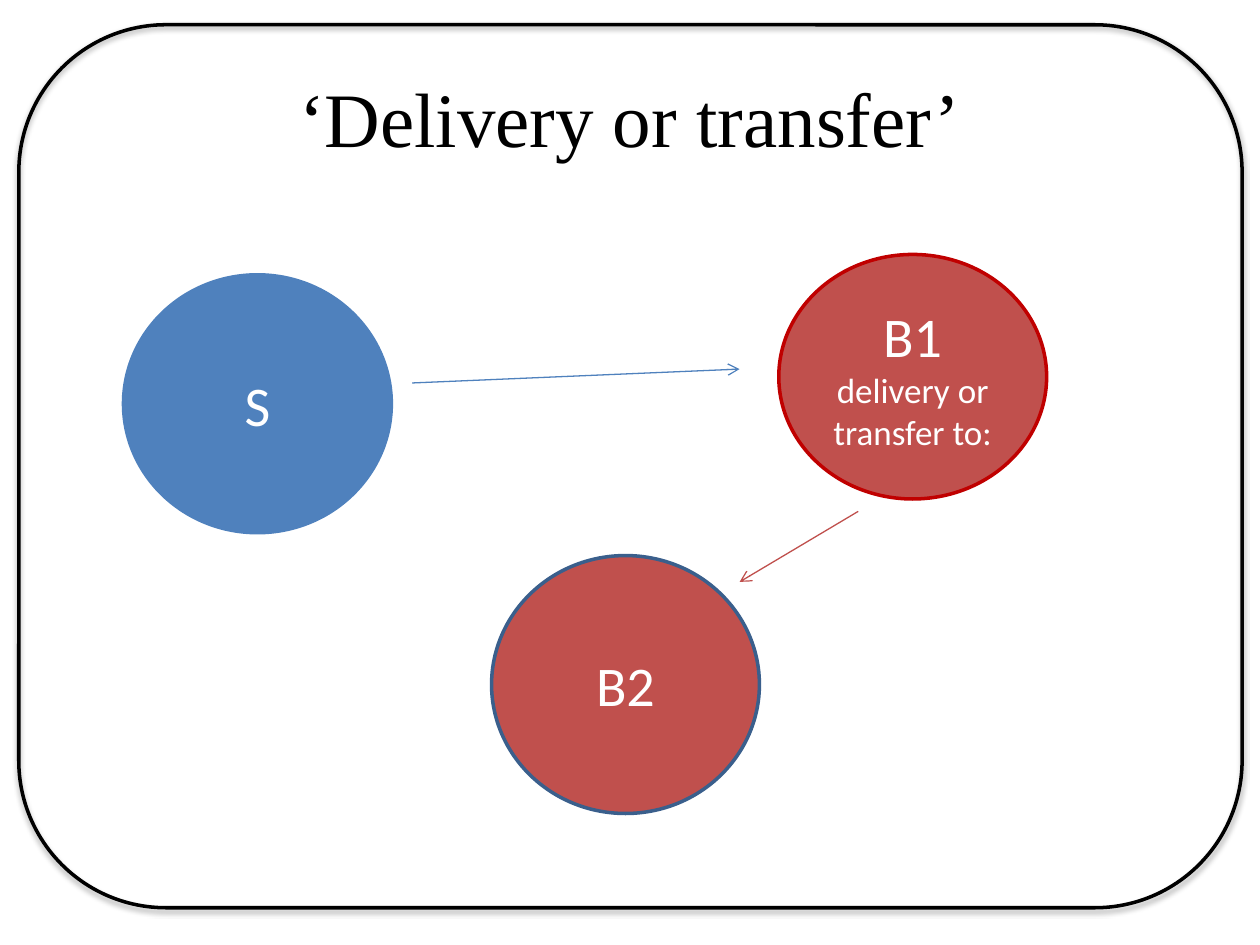
from lxml import etree
from pptx import Presentation
from pptx.dml.color import RGBColor
from pptx.enum.shapes import MSO_CONNECTOR as Connector, MSO_SHAPE as Shape
from pptx.enum.text import MSO_ANCHOR as Anchor, PP_ALIGN as Align
from pptx.oxml.ns import qn
from pptx.util import Cm, Pt

BLUE, RED, WHITE, BLACK = "4F81BD", "C0504D", "FFFFFF", "000000"


def color(hex_string):
    return RGBColor.from_string(hex_string)


def set_line(line, hex_string, width):
    line.color.rgb = color(hex_string)
    line.width = Pt(width)


def write_text(shape, runs, font_name, text_color):
    """Fill the shape with one centred paragraph of (text, size) runs."""
    frame = shape.text_frame
    frame.word_wrap = True
    frame.vertical_anchor = Anchor.MIDDLE
    paragraph = frame.paragraphs[0]
    paragraph.alignment = Align.CENTER
    for text, size in runs:
        run = paragraph.add_run()
        run.text = text
        run.font.name = font_name
        run.font.size = Pt(size)
        run.font.color.rgb = color(text_color)


def add_frame(slide, left, top, width, height):
    """Rounded border with a soft shadow below its line."""
    frame = slide.shapes.add_shape(
        Shape.ROUNDED_RECTANGLE, Cm(left), Cm(top), Cm(width), Cm(height))
    frame.fill.background()
    set_line(frame.line, BLACK, 2)
    frame.shadow.inherit = False
    effects = frame._element.spPr.find(qn("a:effectLst"))
    shadow = etree.SubElement(
        effects, qn("a:outerShdw"), blurRad=str(Pt(3.1)), dist=str(Pt(1.8)),
        dir="5400000", rotWithShape="0")
    tint = etree.SubElement(shadow, qn("a:srgbClr"), val=BLACK)
    etree.SubElement(tint, qn("a:alpha"), val="35000")


def add_title(slide, left, top, width, height):
    title = slide.shapes.add_textbox(Cm(left), Cm(top), Cm(width), Cm(height))
    write_text(title, [("‘Delivery or transfer’", 44)], "Times New Roman", BLACK)


def add_party(slide, left, top, width, height, fill, outline, runs):
    party = slide.shapes.add_shape(
        Shape.OVAL, Cm(left), Cm(top), Cm(width), Cm(height))
    party.shadow.inherit = False
    party.fill.solid()
    party.fill.fore_color.rgb = color(fill)
    set_line(party.line, outline, 2)
    write_text(party, runs, "Calibri", WHITE)


def add_arrow(slide, start, end, hex_string):
    arrow = slide.shapes.add_connector(
        Connector.STRAIGHT, *(Cm(value) for value in start + end))
    set_line(arrow.line, hex_string, 0.75)
    etree.SubElement(arrow.line._get_or_add_ln(), qn("a:tailEnd"), type="arrow")
    etree.SubElement(arrow._element.spPr, qn("a:effectLst"))


def add_diagram(slide, left, top):
    """Seller, first buyer and second buyer, joined by arrows."""
    # Parties: x, y, height, fill, outline, text runs
    parties = [
        (0, 0.41, 5.2, BLUE, BLUE, [("S", 32)]),
        (13.21, 0, 4.93, RED, "C00000",
         [("B1 ", 32), ("delivery or transfer to:", 20)]),
        (7.42, 6.07, 5.2, RED, "3A5F8C", [("B2", 32)]),
    ]
    for x, y, height, fill, outline, runs in parties:
        add_party(slide, left + x, top + y, 5.4, height, fill, outline, runs)

    # Arrows: start, end, colour
    arrows = [
        ((5.82, 2.59), (12.42, 2.31), BLUE),
        ((14.81, 5.18), (12.42, 6.6), RED),
    ]
    for (x1, y1), (x2, y2), hex_string in arrows:
        add_arrow(slide, (left + x1, top + y1), (left + x2, top + y2), hex_string)


def main():
    presentation = Presentation()
    presentation.slide_width = Cm(25.4)
    presentation.slide_height = Cm(19.05)
    slide = presentation.slides.add_slide(presentation.slide_layouts[6])
    add_frame(slide, 0.38, 0.5, 24.66, 17.8)
    add_title(slide, 1.9, 0.3, 21.6, 4.1)
    add_diagram(slide, 2.49, 5.13)
    presentation.save("out.pptx")


if __name__ == "__main__":
    main()
